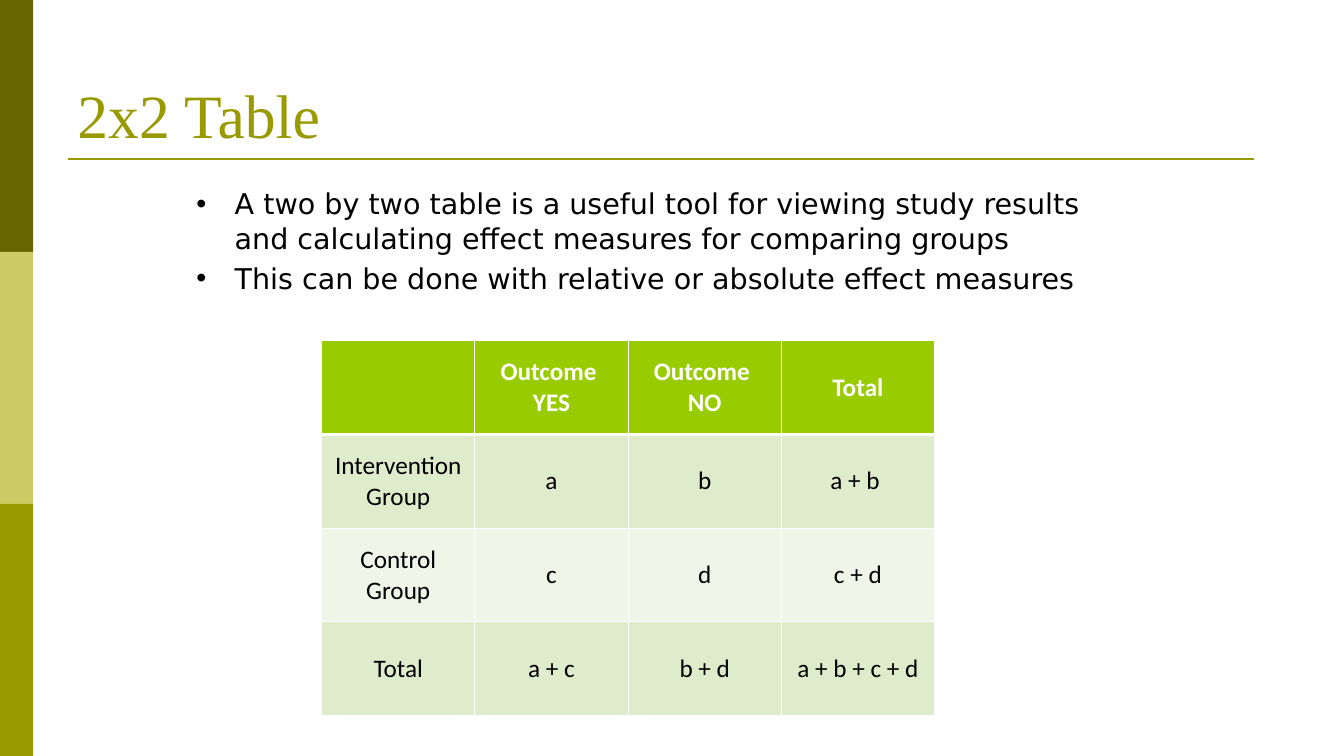
"""Build the slide that explains the 2x2 table of study outcomes."""
from lxml import etree
from pptx import Presentation
from pptx.dml.color import RGBColor
from pptx.enum.shapes import MSO_CONNECTOR, MSO_SHAPE
from pptx.enum.text import MSO_ANCHOR, PP_ALIGN
from pptx.oxml.ns import qn
from pptx.util import Inches, Pt

RECT = MSO_SHAPE.RECTANGLE
STRAIGHT = MSO_CONNECTOR.STRAIGHT
MIDDLE, BOTTOM = MSO_ANCHOR.MIDDLE, MSO_ANCHOR.BOTTOM
CENTER, LEFT = PP_ALIGN.CENTER, PP_ALIGN.LEFT

TITLE = "2x2 Table"
BULLETS = [
    "A two by two table is a useful tool for viewing study results "
    "and calculating effect measures for comparing groups",
    "This can be done with relative or absolute effect measures",
]
ROWS = [
    ["", "Outcome \nYES", "Outcome \nNO", "Total"],
    ["Intervention Group", "a", "b", "a + b "],
    ["Control Group", "c", "d", "c + d"],
    ["Total", "a + c", "b + d", "a + b + c + d"],
]
BAR_COLORS = ["666600", "CCCC66", "999900"]
ROW_FILLS = ["99CC00", "DEECCC", "EFF6E7", "DEECCC"]
OLIVE, WHITE, BLACK = "999900", "FFFFFF", "000000"
BAR_W, BAR_H = 0.33, 2.5
COL_W, ROW_H = 1.52, 0.93


def rgb(value):
    return RGBColor.from_string(value)


def add_text(p, text, font, size, color, bold=False):
    r = p.add_run()
    r.text = text
    r.font.name = font
    r.font.size = Pt(size)
    r.font.bold = bold
    r.font.color.rgb = rgb(color)


def add_box(s, x, y, w, h):
    tf = s.shapes.add_textbox(Inches(x), Inches(y), Inches(w), Inches(h)).text_frame
    tf.word_wrap = True
    return tf


def add_bullet(p):
    pPr = p._p.get_or_add_pPr()
    pPr.set("marL", str(Inches(0.38)))
    pPr.set("indent", str(-Inches(0.38)))
    etree.SubElement(pPr, qn("a:buFont")).set("typeface", "Arial")
    etree.SubElement(pPr, qn("a:buChar")).set("char", "•")


def add_borders(cell, bottom):
    tcPr = cell._tc.get_or_add_tcPr()
    for side, width in (("L", 1), ("R", 1), ("T", 1), ("B", bottom)):
        ln = etree.SubElement(tcPr, qn(f"a:ln{side}"))
        ln.set("w", str(Pt(width)))
        fill = etree.SubElement(ln, qn("a:solidFill"))
        etree.SubElement(fill, qn("a:srgbClr")).set("val", WHITE)


def add_frame(s):
    for i, color in enumerate(BAR_COLORS):
        sp = s.shapes.add_shape(RECT, 0, Inches(i * BAR_H), Inches(BAR_W), Inches(BAR_H))
        sp.shadow.inherit = False
        sp.fill.solid()
        sp.fill.fore_color.rgb = rgb(color)
        sp.line.fill.background()
    rule = s.shapes.add_connector(
        STRAIGHT, Inches(0.67), Inches(1.58), Inches(12.44), Inches(1.58))
    rule.line.color.rgb = rgb(OLIVE)
    rule.line.width = Pt(1.5)
    etree.SubElement(rule._element.spPr, qn("a:effectLst"))


def add_words(s):
    tf = add_box(s, 0.67, 0.3, 12, 1.25)
    tf.vertical_anchor = BOTTOM
    add_text(tf.paragraphs[0], TITLE, "Times New Roman", 44, OLIVE)
    tf = add_box(s, 1.85, 1.8, 9, 1.13)
    for i, text in enumerate(BULLETS):
        p = tf.add_paragraph() if i else tf.paragraphs[0]
        add_bullet(p)
        p.alignment = LEFT
        if i:
            p.space_before = Pt(4)
        add_text(p, text, "DejaVu Sans", 20.4, BLACK)


def add_outcomes(s):
    n_rows, n_cols = len(ROWS), len(ROWS[0])
    table = s.shapes.add_table(
        n_rows, n_cols, Inches(3.19), Inches(3.38),
        Inches(n_cols * COL_W), Inches(n_rows * ROW_H)).table
    for col in table.columns:
        col.width = Inches(COL_W)
    for i, texts in enumerate(ROWS):
        header = i == 0
        table.rows[i].height = Inches(ROW_H)
        for j, text in enumerate(texts):
            cell = table.cell(i, j)
            cell.vertical_anchor = MIDDLE
            cell.margin_left = cell.margin_right = Inches(0.07)
            cell.margin_top = cell.margin_bottom = Inches(0.04)
            add_borders(cell, 3 if header else 1)
            cell.fill.solid()
            cell.fill.fore_color.rgb = rgb(ROW_FILLS[i])
            tf = cell.text_frame
            for k, line in enumerate(text.split("\n") if text else []):
                p = tf.add_paragraph() if k else tf.paragraphs[0]
                p.alignment = CENTER
                add_text(p, line, "Calibri", 18, WHITE if header else BLACK, header)


def main():
    prs = Presentation()
    prs.slide_width, prs.slide_height = Inches(13.33), Inches(7.5)
    s = prs.slides.add_slide(prs.slide_layouts[6])
    add_frame(s)
    add_words(s)
    add_outcomes(s)
    prs.save("out.pptx")


if __name__ == "__main__":
    main()
